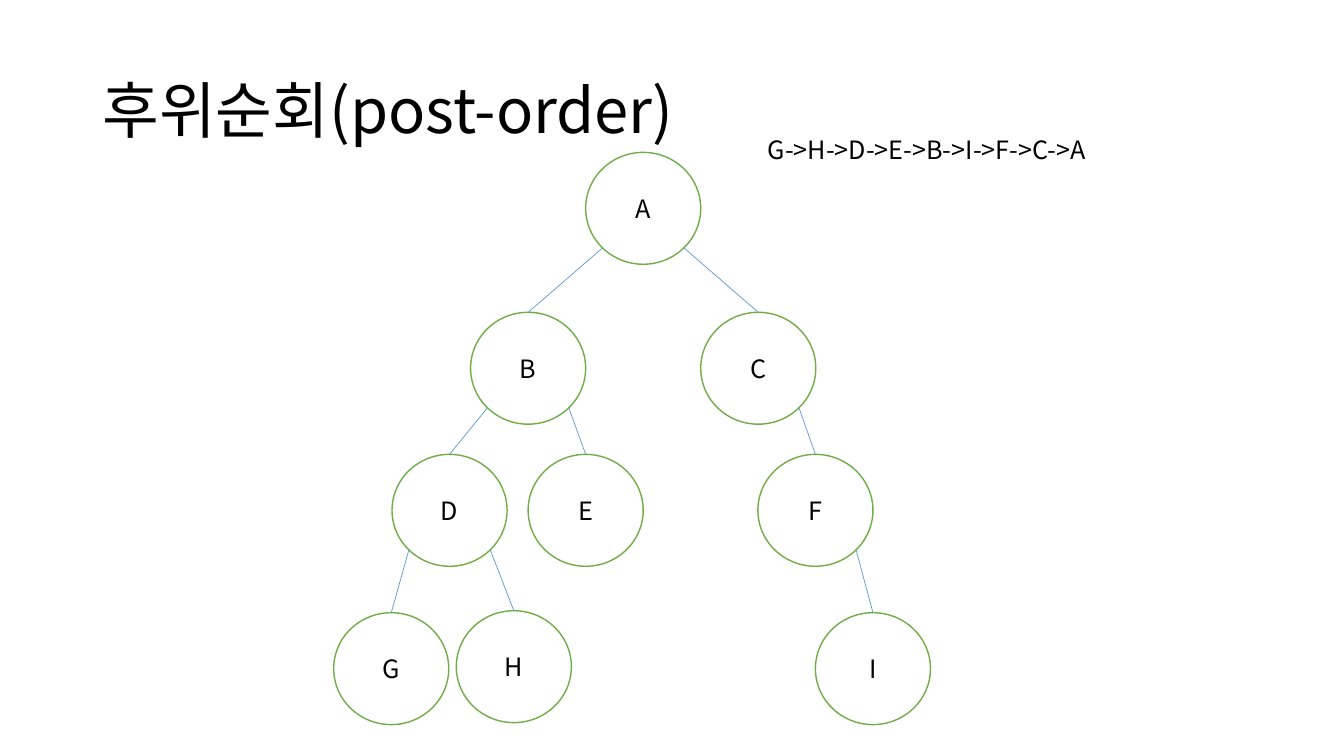
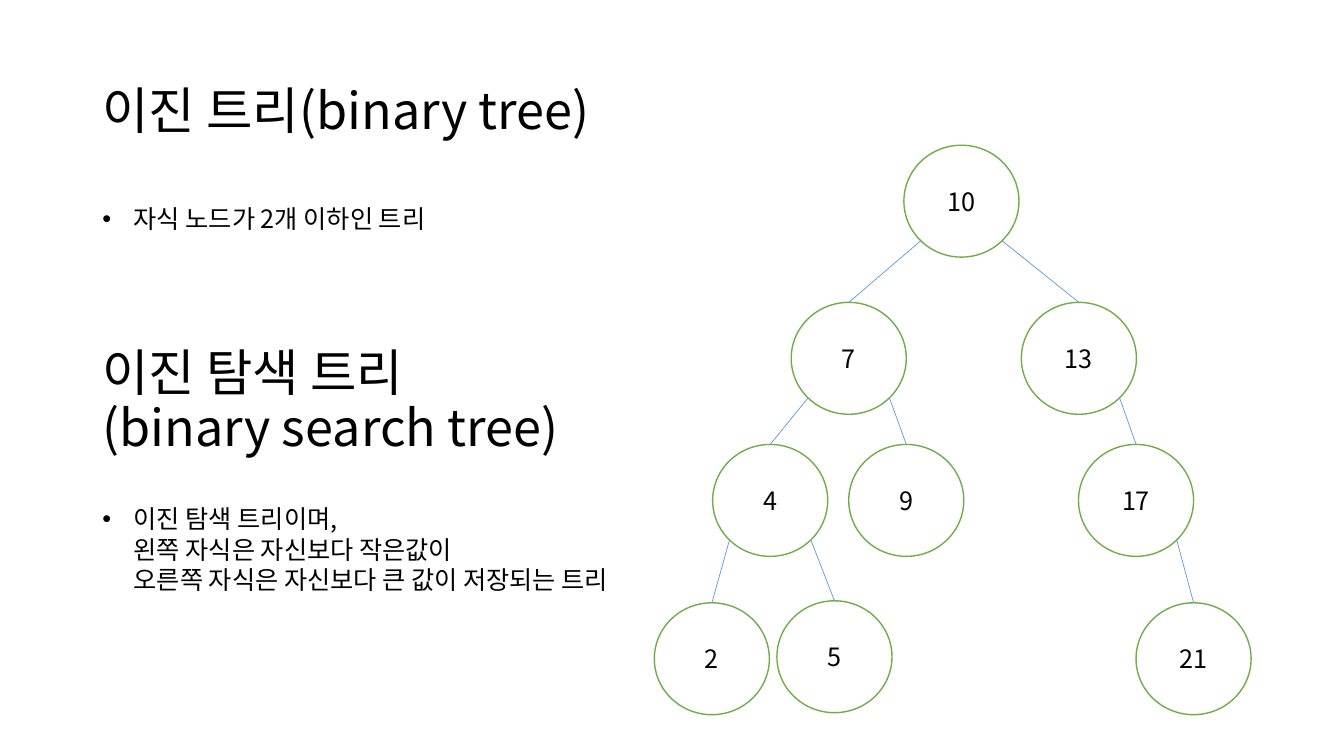
from lxml import etree
from pptx import Presentation
from pptx.dml.color import RGBColor
from pptx.enum.shapes import MSO_CONNECTOR, MSO_SHAPE
from pptx.enum.text import MSO_ANCHOR, MSO_AUTO_SIZE, PP_ALIGN
from pptx.oxml.ns import qn
from pptx.util import Cm, Pt

OVAL = MSO_SHAPE.OVAL
STRAIGHT = MSO_CONNECTOR.STRAIGHT
LEFT, CENTER = PP_ALIGN.LEFT, PP_ALIGN.CENTER
TOP, MIDDLE = MSO_ANCHOR.TOP, MSO_ANCHOR.MIDDLE
NO_FIT = MSO_AUTO_SIZE.NONE

COLORS = {"text": "000000", "node": "FFFFFF", "ring": "70AD47", "edge": "5B9BD5"}
FONT = "Noto Sans CJK KR"
TITLE_BOX = (Cm(2.33), Cm(1.01), Cm(29.21), Cm(3.68))
NODE_W, NODE_H = 2.9, 2.82
DIAGONAL = 0.5 ** 0.5

# Node offsets in cm from the root's left child, in the order A to I
OFFSETS = {"B": (0, 0), "C": (5.8, 0), "D": (-1.98, 3.58), "E": (1.45, 3.58),
           "F": (7.24, 3.58), "G": (-3.45, 7.57), "H": (-0.36, 7.52), "I": (8.69, 7.57)}
# Parent, child, side of the parent the edge leaves from
EDGES = [("A", "B", -1), ("A", "C", 1), ("B", "D", -1), ("B", "E", 1),
         ("C", "F", 1), ("D", "G", -1), ("D", "H", 1), ("F", "I", 1)]


def write(sp, text, size=18, align=LEFT, anchor=TOP, spacing=1.0):
    """Put text in a shape and apply the shared text style."""
    tf = sp.text_frame
    tf.text = text
    tf.word_wrap = True
    tf.auto_size = NO_FIT
    tf.vertical_anchor = anchor
    for p in tf.paragraphs:
        p.alignment = align
        p.line_spacing = spacing
        for r in p.runs:
            r.font.size = Pt(size)
            r.font.name = FONT
            r.font.color.rgb = RGBColor.from_string(COLORS["text"])
            etree.SubElement(r.font._element, qn("a:ea"), typeface=FONT)


def draw_tree(slide, root, left_child, labels):
    """Draw the nine-node tree and the edges between its nodes."""
    spots = {"A": root}
    for key, (dx, dy) in OFFSETS.items():
        spots[key] = (left_child[0] + dx, left_child[1] + dy)
    for (x, y), label in zip(spots.values(), labels):
        sp = slide.shapes.add_shape(OVAL, Cm(x), Cm(y), Cm(NODE_W), Cm(NODE_H))
        sp.shadow.inherit = False
        sp.fill.solid()
        sp.fill.fore_color.rgb = RGBColor.from_string(COLORS["node"])
        sp.line.color.rgb = RGBColor.from_string(COLORS["ring"])
        sp.line.width = Pt(1)
        write(sp, label, align=CENTER, anchor=MIDDLE)
    for parent, child, side in EDGES:
        (px, py), (cx, cy) = spots[parent], spots[child]
        start_x = px + NODE_W / 2 * (1 + side * DIAGONAL)
        start_y = py + NODE_H / 2 * (1 + DIAGONAL)
        edge = slide.shapes.add_connector(
            STRAIGHT, Cm(start_x), Cm(start_y), Cm(cx + NODE_W / 2), Cm(cy))
        edge.line.color.rgb = RGBColor.from_string(COLORS["edge"])
        edge.line.width = Pt(0.5)
        etree.SubElement(edge._element.spPr, qn("a:effectLst"))


prs = Presentation()
prs.slide_width, prs.slide_height = Cm(33.87), Cm(19.05)

SLIDES = [
    ("후위순회(post-order)", 44, (14.76, 3.84), (11.86, 7.87), "ABCDEFGHI"),
    ("이진 트리(binary tree)", 36, (22.78, 3.66), (19.94, 7.62),
     ["10", "7", "13", "4", "9", "17", "2", "5", "21"]),
]
for title_text, size, root, left_child, labels in SLIDES:
    slide = prs.slides.add_slide(prs.slide_layouts[5])
    title = slide.shapes.title
    title.left, title.top, title.width, title.height = TITLE_BOX
    write(title, title_text, size, anchor=MIDDLE, spacing=0.9)
    draw_tree(slide, root, left_child, labels)

# Visiting order on the traversal slide
order = prs.slides[0].shapes.add_textbox(Cm(19.1), Cm(3.25), Cm(12.42), Cm(1.03))
write(order, "G->H->D->E->B->I->F->C->A")

# Second heading and the definitions on the binary tree slide
shapes = prs.slides[1].shapes
heading = shapes.add_textbox(TITLE_BOX[0], Cm(8.31), *TITLE_BOX[2:])
write(heading, "이진 탐색 트리\v(binary search tree)", 36, anchor=MIDDLE, spacing=0.9)

DEFINITIONS = [
    (5, 1.03, "자식 노드가 2개 이하인 트리"),
    (12.57, 2.56, "이진 탐색 트리이며,\v왼쪽 자식은 자신보다 작은값이\v"
                  "오른쪽 자식은 자신보다 큰 값이 저장되는 트리"),
]
for top, height, text in DEFINITIONS:
    box = shapes.add_textbox(TITLE_BOX[0], Cm(top), Cm(27.51), Cm(height))
    write(box, text)
    pPr = box.text_frame.paragraphs[0]._p.get_or_add_pPr()
    pPr.set("marL", str(Cm(0.79)))
    pPr.set("indent", str(-Cm(0.79)))
    etree.SubElement(pPr, qn("a:buFont"), typeface="Arial")
    etree.SubElement(pPr, qn("a:buChar"), char="•")

prs.save("out.pptx")
